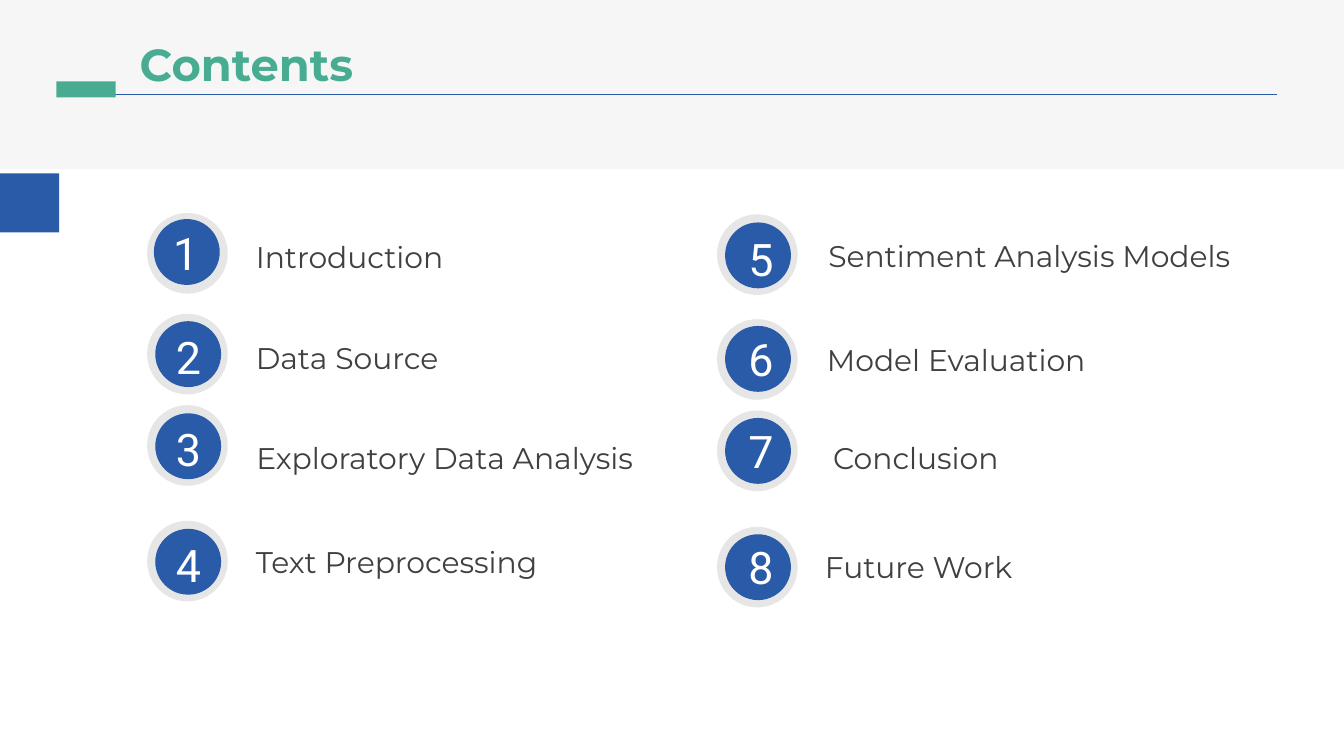
from collections import namedtuple

from lxml.etree import SubElement
from pptx import Presentation
from pptx.dml.color import RGBColor
from pptx.enum.shapes import MSO_CONNECTOR, MSO_SHAPE
from pptx.enum.text import MSO_AUTO_SIZE
from pptx.oxml.ns import qn
from pptx.util import Emu, Pt

EMU_PER_PX = 4572
BLUE, GREEN, WHITE = "2A5BA8", "48AC92", "FFFFFF"
BAND_GRAY, RING_GRAY, TEXT_GRAY = "F6F6F6", "E7E6E6", "404040"
RING_SIZE, DISC_SIZE = 120, 98
DIGIT_SIZE = (72, 100)
LABEL_HEIGHT = 74

Entry = namedtuple("Entry", "title ring disc digit label label_width")
ENTRIES = [
    Entry("Introduction", (219, 317), (229, 326), (238, 326), (361, 345), 744),
    Entry("Data Source", (219, 467), (231, 478), (242, 481), (361, 496), 488),
    Entry("Exploratory Data Analysis", (219, 603), (231, 615), (242, 618), (362, 644), 688),
    Entry("Text Preprocessing", (219, 775), (231, 787), (242, 790), (361, 800), 744),
    Entry("Sentiment Analysis Models", (1067, 319), (1079, 331), (1094, 335), (1213, 344), 712),
    Entry("Model Evaluation", (1067, 475), (1079, 485), (1094, 484), (1211, 498), 574),
    Entry("Conclusion", (1067, 611), (1079, 622), (1094, 621), (1220, 644), 696),
    Entry("Future Work", (1067, 784), (1079, 795), (1094, 793), (1208, 807), 480),
]


def px(length):
    """Convert whole pixels to EMU."""
    return Emu(length * EMU_PER_PX)


def color(hex_string):
    """Return the colour for a hex string."""
    return RGBColor.from_string(hex_string)


def add_filled_shape(slide, kind, left, top, width, height, fill):
    """Add a flat shape without outline."""
    shape = slide.shapes.add_shape(kind, px(left), px(top), px(width), px(height))
    shape.shadow.inherit = False
    shape.fill.solid()
    shape.fill.fore_color.rgb = color(fill)
    shape.line.fill.background()


def add_rule(slide, left, right, top):
    """Add the thin horizontal line under the title."""
    connector = slide.shapes.add_connector(
        MSO_CONNECTOR.STRAIGHT, px(left), px(top), px(right), px(top)
    )
    connector.line.width = Pt(0.75)
    connector.line.fill.solid()
    connector.line.fill.fore_color.rgb = color(BLUE)
    SubElement(connector._element.spPr, qn("a:effectLst"))
    connector._element.remove(connector._element.find(qn("p:style")))


def add_text(slide, text, left, top, width, height, font_name, size, text_color, bold=False):
    """Add a one-run text box that grows with its text."""
    box = slide.shapes.add_textbox(px(left), px(top), px(width), px(height))
    frame = box.text_frame
    frame.word_wrap = True
    frame.auto_size = MSO_AUTO_SIZE.SHAPE_TO_FIT_TEXT
    run = frame.paragraphs[0].add_run()
    run.text = text
    run.font.name = font_name
    run.font.size = Pt(size)
    run.font.bold = bold
    run.font.color.rgb = color(text_color)


def add_header(slide):
    """Add the title band with its accents."""
    add_filled_shape(slide, MSO_SHAPE.RECTANGLE, 0, 0, 2000, 252, BAND_GRAY)
    add_rule(slide, 88, 1900, 141)
    add_text(slide, "Contents", 188, 45, 516, 100, "Montserrat", 24, GREEN, bold=True)
    add_filled_shape(slide, MSO_SHAPE.RECTANGLE, 0, 258, 88, 88, BLUE)


def add_entry(slide, number, entry):
    """Add a numbered badge and its title."""
    add_filled_shape(slide, MSO_SHAPE.OVAL, *entry.ring, RING_SIZE, RING_SIZE, RING_GRAY)
    add_filled_shape(slide, MSO_SHAPE.OVAL, *entry.disc, DISC_SIZE, DISC_SIZE, BLUE)
    add_text(slide, str(number), *entry.digit, *DIGIT_SIZE, "Roboto", 24, WHITE)
    add_text(
        slide, entry.title, *entry.label, entry.label_width, LABEL_HEIGHT,
        "Montserrat", 16, TEXT_GRAY,
    )


def main():
    """Build and save the contents slide."""
    presentation = Presentation()
    presentation.slide_width = px(2000)
    presentation.slide_height = px(1125)
    slide = presentation.slides.add_slide(presentation.slide_layouts[6])
    add_header(slide)
    add_filled_shape(slide, MSO_SHAPE.RECTANGLE, 84, 121, 88, 24, GREEN)
    for number, entry in enumerate(ENTRIES, start=1):
        add_entry(slide, number, entry)
    presentation.save("out.pptx")


if __name__ == "__main__":
    main()
